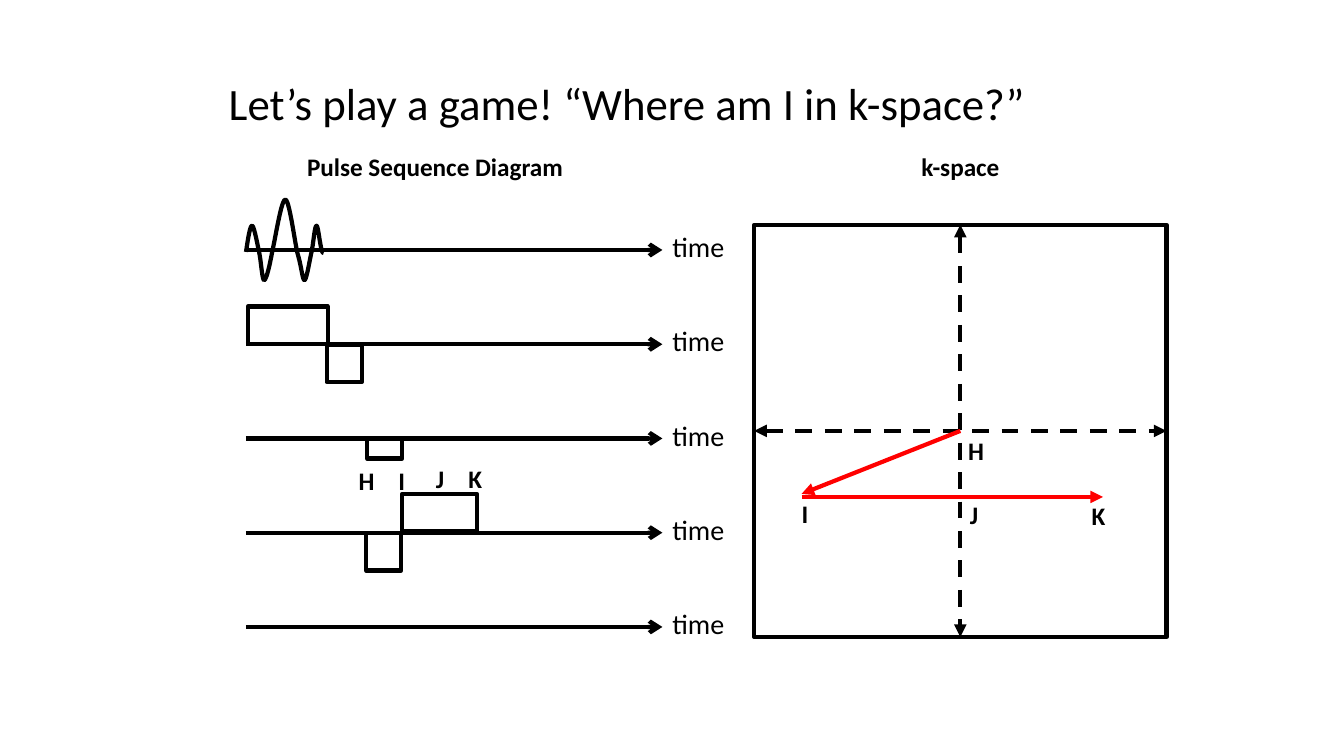
from lxml.etree import SubElement
from pptx import Presentation
from pptx.dml.color import RGBColor
from pptx.enum.dml import MSO_LINE
from pptx.enum.shapes import MSO_CONNECTOR, MSO_SHAPE
from pptx.enum.text import MSO_ANCHOR, PP_ALIGN
from pptx.oxml.ns import qn
from pptx.util import Inches, Pt

BLACK = RGBColor(0x00, 0x00, 0x00)
RED = RGBColor(0xFF, 0x00, 0x00)
PLAIN = {"name": "Calibri", "size": Pt(20), "bold": False}
BOLD = {"name": "Calibri", "size": Pt(18), "bold": True}
TITLE = {"name": "Calibri", "size": Pt(32), "bold": False}
STROKE = Pt(3)
LABEL_HEIGHT = 0.4

# Radio-frequency pulse: start point, then cubic curves (two controls and an end)
PULSE_START = (0, 1.05)
PULSE_CURVES = [
    ((0.02, 0.92), (0.04, 0.79), (0.06, 0.79)),
    ((0.08, 0.79), (0.11, 0.96), (0.13, 1.05)),
    ((0.15, 1.14), (0.16, 1.33), (0.18, 1.33)),
    ((0.21, 1.33), (0.26, 1.05), (0.26, 1.05)),
    ((0.29, 0.92), (0.35, 0.53), (0.39, 0.53)),
    ((0.43, 0.53), (0.48, 0.93), (0.51, 1.06)),
    ((0.55, 1.19), (0.56, 1.33), (0.58, 1.33)),
    ((0.60, 1.33), (0.63, 1.14), (0.65, 1.05)),
    ((0.67, 0.96), (0.68, 0.79), (0.70, 0.79)),
    ((0.72, 0.79), (0.74, 1.08), (0.77, 1.06)),
]
CURVE_STEPS = 10


def add_text(page, text, box, style, align=PP_ALIGN.CENTER, anchor=MSO_ANCHOR.TOP):
    frame = page.shapes.add_textbox(*map(Inches, box)).text_frame
    frame.word_wrap = True
    frame.vertical_anchor = anchor
    para = frame.paragraphs[0]
    para.alignment = align
    span = para.add_run()
    span.text = text
    for name, value in style.items():
        setattr(span.font, name, value)
    span.font.color.rgb = BLACK
    return para


def add_line(page, start, end, color=BLACK, head=None, tail=None, dash=None):
    line = page.shapes.add_connector(
        MSO_CONNECTOR.STRAIGHT, *map(Inches, (*start, *end)))
    line.line.color.rgb = color
    line.line.width = STROKE
    if dash:
        line.line.dash_style = dash
    outline = line.line._get_or_add_ln()
    for tag, kind in (("a:headEnd", head), ("a:tailEnd", tail)):
        if kind:
            SubElement(outline, qn(tag), type=kind)
    SubElement(line._element.spPr, qn("a:effectLst"))


def outline_only(shape):
    shape.shadow.inherit = False
    shape.fill.background()
    shape.line.color.rgb = BLACK
    shape.line.width = STROKE


def add_frame(page, box):
    outline_only(page.shapes.add_shape(MSO_SHAPE.RECTANGLE, *map(Inches, box)))


def pulse_points():
    start = PULSE_START
    for first, second, end in PULSE_CURVES:
        for step in range(1, CURVE_STEPS + 1):
            t = step / CURVE_STEPS
            weights = ((1 - t) ** 3, 3 * t * (1 - t) ** 2, 3 * t * t * (1 - t), t ** 3)
            corners = (start, first, second, end)
            yield tuple(sum(w * c[axis] for w, c in zip(weights, corners))
                        for axis in (0, 1))
        start = end


def add_title(page, box):
    para = add_text(page, "Let’s play a game! “Where am I in k-space?”", box,
                    TITLE, PP_ALIGN.LEFT, MSO_ANCHOR.MIDDLE)
    para.line_spacing = 0.9


def add_pulse_diagram(page, left, top):
    add_text(page, "Pulse Sequence Diagram", (left, top, 3.75, LABEL_HEIGHT), BOLD)

    # Five evenly spaced time axes
    axis_length, axis_gap = 4.13, 0.935
    for row in range(5):
        y = top + 1.03 + row * axis_gap
        add_line(page, (left, y), (left + axis_length, y), tail="arrow")
        add_text(page, "time", (left + axis_length, y - 0.25, 0.92, 0.44),
                 PLAIN, PP_ALIGN.LEFT)

    # Radio-frequency pulse
    builder = page.shapes.build_freeform(
        Inches(left + PULSE_START[0]), Inches(top + PULSE_START[1]))
    builder.add_line_segments(
        [(Inches(left + x), Inches(top + y)) for x, y in pulse_points()], close=False)
    outline_only(builder.convert_to_shape())

    # Gradient lobes
    for x, y, width, height in [
        (0.02, 1.59, 0.79, 0.37), (0.8, 1.97, 0.35, 0.37), (1.2, 2.9, 0.35, 0.2),
        (1.19, 3.84, 0.35, 0.37), (1.55, 3.45, 0.74, 0.37),
    ]:
        add_frame(page, (left + x, top + y, width, height))

    # Moments in time
    for letter, x, y in [("H", 0.94, 3.12), ("I", 1.29, 3.12),
                         ("J", 1.67, 3.1), ("K", 2.02, 3.1)]:
        add_text(page, letter, (left + x, top + y, 0.51, LABEL_HEIGHT), BOLD)


def add_k_space(page, left, top):
    side = 4.09
    add_text(page, "k-space", (left + 0.17, top, 3.75, LABEL_HEIGHT), BOLD)

    # Square with dashed axes through its centre
    square_top = top + 0.78
    middle_x, middle_y = left + side / 2, square_top + side / 2
    add_frame(page, (left, square_top, side, side))
    for start, end in [
        ((middle_x, square_top), (middle_x, square_top + side)),
        ((left, middle_y), (left + side, middle_y)),
    ]:
        add_line(page, start, end, head="triangle", tail="triangle", dash=MSO_LINE.DASH)

    # Path from H to I, then through J to K
    add_line(page, (middle_x, middle_y), (left + 0.47, top + 3.45), RED, tail="triangle")
    add_line(page, (left + 0.47, top + 3.48), (left + 3.46, top + 3.48),
             RED, tail="triangle")
    for letter, x, y, width in [("H", 1.97, 2.82, 0.46), ("I", 0.25, 3.44, 0.51),
                                ("J", 1.95, 3.45, 0.46), ("K", 3.16, 3.46, 0.51)]:
        add_text(page, letter, (left + x, top + y, width, LABEL_HEIGHT), BOLD)


def main():
    deck = Presentation()
    deck.slide_width, deck.slide_height = Inches(13.33), Inches(7.5)
    page = deck.slides.add_slide(deck.slide_layouts[6])
    add_title(page, (2.17, 0.56, 9.28, 0.99))
    add_pulse_diagram(page, 2.44, 1.45)
    add_k_space(page, 7.48, 1.45)
    deck.save("out.pptx")


if __name__ == "__main__":
    main()
